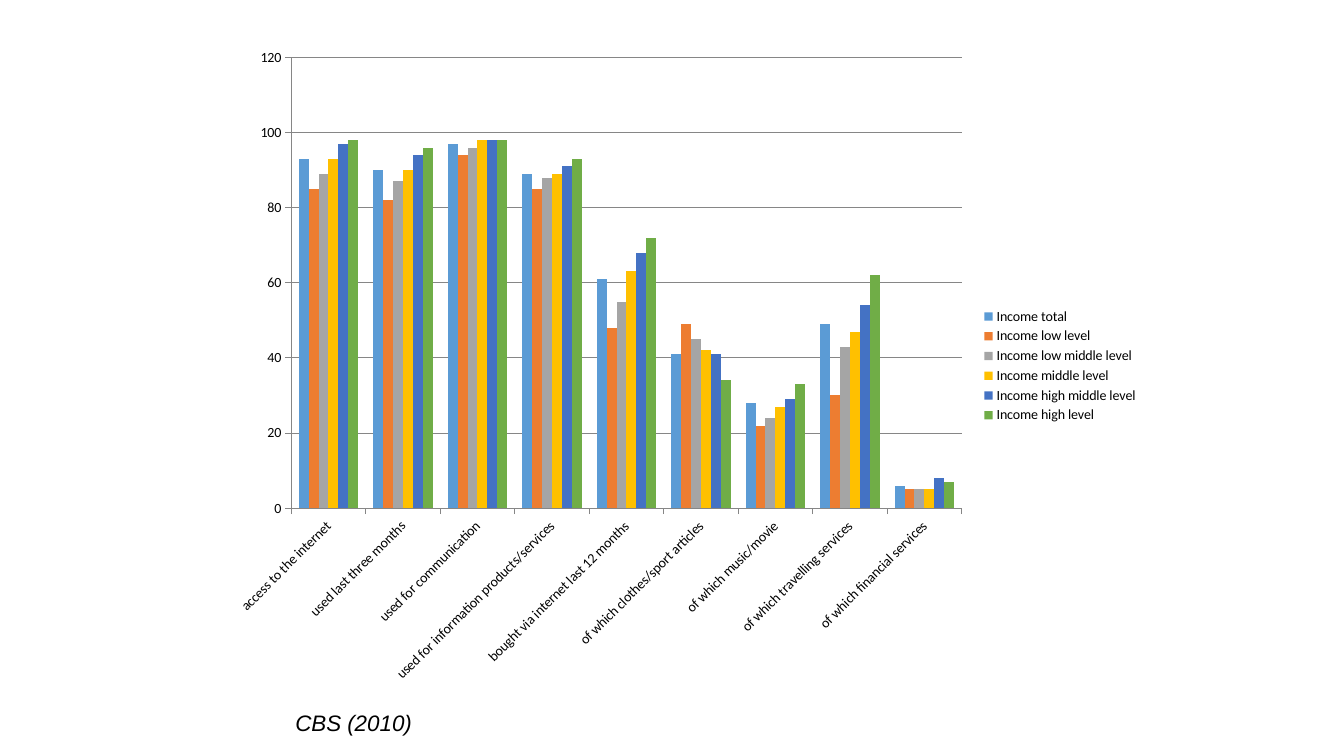
from pptx import Presentation
from pptx.chart.data import CategoryChartData
from pptx.dml.color import RGBColor as RGB
from pptx.enum.chart import XL_CHART_TYPE as CT, XL_LEGEND_POSITION as LP, XL_TICK_MARK as TM
from pptx.oxml import parse_xml
from pptx.oxml.ns import qn
from pptx.util import Inches, Pt

COLORS = {
    "text": "000000",
    "line": "868686",
    "Income total": "5B9BD5",
    "Income low level": "ED7D31",
    "Income low middle level": "A5A5A5",
    "Income middle level": "FFC000",
    "Income high middle level": "4472C4",
    "Income high level": "70AD47",
}
USAGE = {
    "access to the internet": (93, 85, 89, 93, 97, 98),
    "used last three months": (90, 82, 87, 90, 94, 96),
    "used for communication": (97, 94, 96, 98, 98, 98),
    "used for information products/services": (89, 85, 88, 89, 91, 93),
    "bought via internet last 12 months": (61, 48, 55, 63, 68, 72),
    "of which clothes/sport articles": (41, 49, 45, 42, 41, 34),
    "of which music/movie": (28, 22, 24, 27, 29, 33),
    "of which travelling services": (49, 30, 43, 47, 54, 62),
    "of which financial services": (6, 5, 5, 5, 8, 7),
}
INCOMES = [name for name in COLORS if name.startswith("Income")]

prs = Presentation()
prs.slide_width, prs.slide_height = Inches(13.33), Inches(7.5)
W, H = prs.slide_width, prs.slide_height
s = prs.slides.add_slide(prs.slide_layouts[6])


def add_text(text, x, y, w, h, size=16, font="Arial", color="text", italic=False):
    sp = s.shapes.add_textbox(int(x * W), int(y * H), int(w * W), int(h * H))
    tf = sp.text_frame
    tf.word_wrap = True
    p = tf.paragraphs[0]
    r = p.add_run()
    r.text = text
    r.font.size, r.font.name, r.font.italic = Pt(size), font, italic
    r.font.color.rgb = RGB.from_string(COLORS[color])


add_text("CBS (2010)", x=0.2123, y=0.932, w=0.163, h=0.049, italic=True)

data = CategoryChartData()
data.categories = list(USAGE)
for name, values in zip(INCOMES, zip(*USAGE.values())):
    data.add_series(name, values)

chart = s.shapes.add_chart(
    CT.COLUMN_CLUSTERED, int(0.1635 * W), int(0.048 * H), int(0.691 * W), int(0.872 * H), data
).chart
chart.has_title = False
chart.font.size, chart.font.name = Pt(10), "Calibri"
chart.font.color.rgb = RGB.from_string(COLORS["text"])

plot = chart.plots[0]
plot.gap_width, plot.overlap = 150, 0
plot.vary_by_categories = False
for series in plot.series:
    series.format.fill.solid()
    series.format.fill.fore_color.rgb = RGB.from_string(COLORS[series.name])

cat, val = chart.category_axis, chart.value_axis
val.minimum_scale, val.maximum_scale, val.major_unit = 0, 120, 20
val.has_major_gridlines = True
for axis in (cat, val):
    axis.major_tick_mark, axis.minor_tick_mark = TM.OUTSIDE, TM.NONE
for part in (cat, val, val.major_gridlines):
    part.format.line.width = Pt(0.75)
    part.format.line.color.rgb = RGB.from_string(COLORS["line"])
cat.tick_labels.font.size = Pt(10)
cat._element.find(qn("c:txPr")).find(qn("a:bodyPr")).set("rot", "-2700000")

chart.has_legend = True
chart.legend.position = LP.RIGHT
chart.legend.include_in_layout = False

area = chart._chartSpace.chart.plotArea
for old in area.findall(qn("c:layout")):
    area.remove(old)
modes = '<c:layoutTarget val="inner"/><c:xMode val="edge"/><c:yMode val="edge"/>'
shares = {"x": 0.077, "y": 0.032, "w": 0.722, "h": 0.684}
box = "".join(f'<c:{key} val="{share}"/>' for key, share in shares.items())
area.insert(0, parse_xml(
    '<c:layout xmlns:c="http://schemas.openxmlformats.org/drawingml/2006/chart">'
    f"<c:manualLayout>{modes}{box}</c:manualLayout></c:layout>"
))

prs.save("out.pptx")
